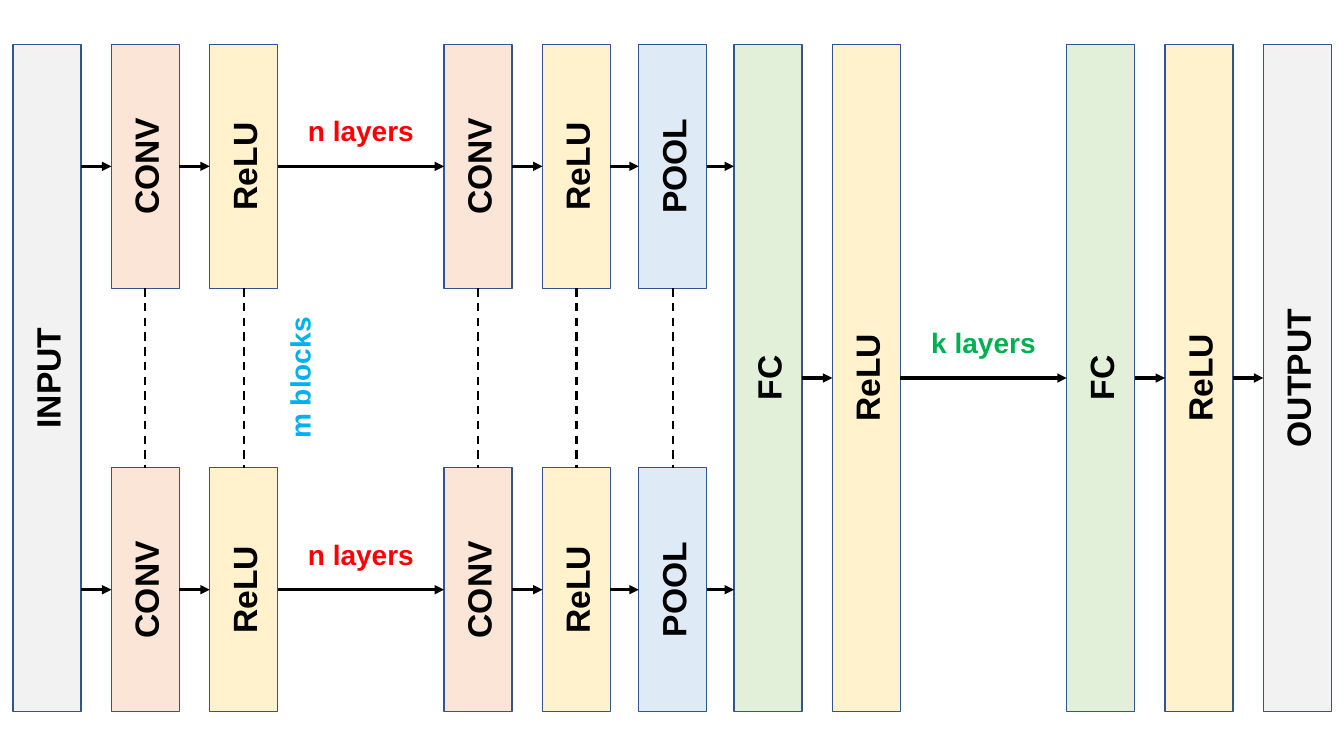
from itertools import accumulate, pairwise

from lxml.etree import SubElement
from pptx import Presentation
from pptx.dml.color import RGBColor
from pptx.enum.dml import MSO_LINE
from pptx.enum.shapes import MSO_CONNECTOR, MSO_SHAPE
from pptx.enum.text import MSO_ANCHOR, MSO_AUTO_SIZE, PP_ALIGN
from pptx.oxml.ns import qn
from pptx.util import Inches, Pt

BAR_W = 1.35 / 2
GAP, LONG_GAP = 0.3, 1.65
GAPS = [GAP, GAP, LONG_GAP, GAP, 0.28, 0.27, GAP, LONG_GAP, GAP, GAP]
COLS = list(accumulate(GAPS, lambda x, gap: x + BAR_W + gap, initial=0.13))
TOP, TALL_H, BLOCK_H = 0.44, 6.62, 2.42
BLOCK_TOPS = [TOP, TOP + TALL_H - BLOCK_H]
LABEL_W, LABEL_H, LABEL_RISE = 1.34, 0.44, 0.57

BAR_FILLS = {"INPUT": "F2F2F2", "OUTPUT": "F2F2F2", "CONV": "FBE5D6",
             "ReLU": "FFF2CC", "POOL": "DEEBF7", "FC": "E2F0D9"}
BLOCK_BARS = {1: "CONV", 2: "ReLU", 3: "CONV", 4: "ReLU", 5: "POOL"}
TALL_BARS = {0: "INPUT", 6: "FC", 7: "ReLU", 8: "FC", 9: "ReLU", 10: "OUTPUT"}


def rgb(color):
    """Turn a hex string into a colour."""
    return RGBColor.from_string(color)


def add_text(sp, text, size, color, vertical):
    """Write one bold centred run into a shape, optionally reading upwards."""
    tf = sp.text_frame
    tf.word_wrap = True
    if vertical:
        sp.element.txBody.bodyPr.set("vert", "vert270")
    p = tf.paragraphs[0]
    p.alignment = PP_ALIGN.CENTER
    r = p.add_run()
    r.text = text
    r.font.name, r.font.size, r.font.bold = "Arial", Pt(size), True
    r.font.color.rgb = rgb(color)
    return tf


def add_bar(s, col, top, height, name):
    """Add a network layer as a filled bar in a column."""
    sp = s.shapes.add_shape(MSO_SHAPE.RECTANGLE, Inches(COLS[col]), Inches(top),
                            Inches(BAR_W), Inches(height))
    sp.shadow.inherit = False
    sp.fill.solid()
    sp.fill.fore_color.rgb = rgb(BAR_FILLS[name])
    sp.line.color.rgb = rgb("325491")
    sp.line.width = Pt(1)
    tf = add_text(sp, name, 24, "000000", True)
    tf.vertical_anchor = MSO_ANCHOR.MIDDLE


def add_label(s, x, y, w, h, text, color, vertical=False):
    """Add a coloured repetition label."""
    sp = s.shapes.add_textbox(Inches(x), Inches(y), Inches(w), Inches(h))
    tf = add_text(sp, text, 20, color, vertical)
    tf.auto_size = MSO_AUTO_SIZE.SHAPE_TO_FIT_TEXT


def add_line(s, x1, y1, x2, y2, width):
    """Add a plain black line without shadow."""
    ln = s.shapes.add_connector(MSO_CONNECTOR.STRAIGHT, Inches(x1), Inches(y1),
                                Inches(x2), Inches(y2))
    ln.line.color.rgb = rgb("000000")
    ln.line.width = Pt(width)
    SubElement(ln.element.spPr, qn("a:effectLst"))
    return ln


def add_arrows(s, first, last, y):
    """Link each column to the next with an arrow at one height."""
    for left, right in pairwise(COLS[first:last + 1]):
        ln = add_line(s, left + BAR_W, y, right, y, 2.25)
        SubElement(ln.line._get_or_add_ln(), qn("a:tailEnd"), type="triangle")


def add_layers_label(s, col, y, text, color):
    """Centre a label above the long arrow that leaves a column."""
    x = COLS[col] + BAR_W + (LONG_GAP - LABEL_W) / 2
    add_label(s, x, y - LABEL_RISE, LABEL_W, LABEL_H, text, color)


def add_block(s, top):
    """Add one convolution block with its arrows and label."""
    middle = top + BLOCK_H / 2
    for col, name in BLOCK_BARS.items():
        add_bar(s, col, top, BLOCK_H, name)
    add_arrows(s, 0, 6, middle)
    add_layers_label(s, 2, middle, "n layers", "FF0000")


def add_block_links(s):
    """Join the two blocks with dashed lines and their label."""
    start, end = BLOCK_TOPS[0] + BLOCK_H, BLOCK_TOPS[1]
    for col in BLOCK_BARS:
        x = COLS[col] + BAR_W / 2
        ln = add_line(s, x, start, x, end, 1.5)
        ln.line.dash_style = MSO_LINE.DASH
    add_label(s, COLS[2] + BAR_W, start, 0.54, end - start,
              "m blocks", "00B0F0", True)


def main():
    """Build the network diagram and save it."""
    prs = Presentation()
    prs.slide_width, prs.slide_height = Inches(13.33), Inches(7.5)
    s = prs.slides.add_slide(prs.slide_layouts[6])
    for col, name in TALL_BARS.items():
        add_bar(s, col, TOP, TALL_H, name)
    for top in BLOCK_TOPS:
        add_block(s, top)
    add_block_links(s)
    middle = TOP + TALL_H / 2
    add_arrows(s, 6, 10, middle)
    add_layers_label(s, 7, middle, "k layers", "00B050")
    prs.save("out.pptx")


main()
